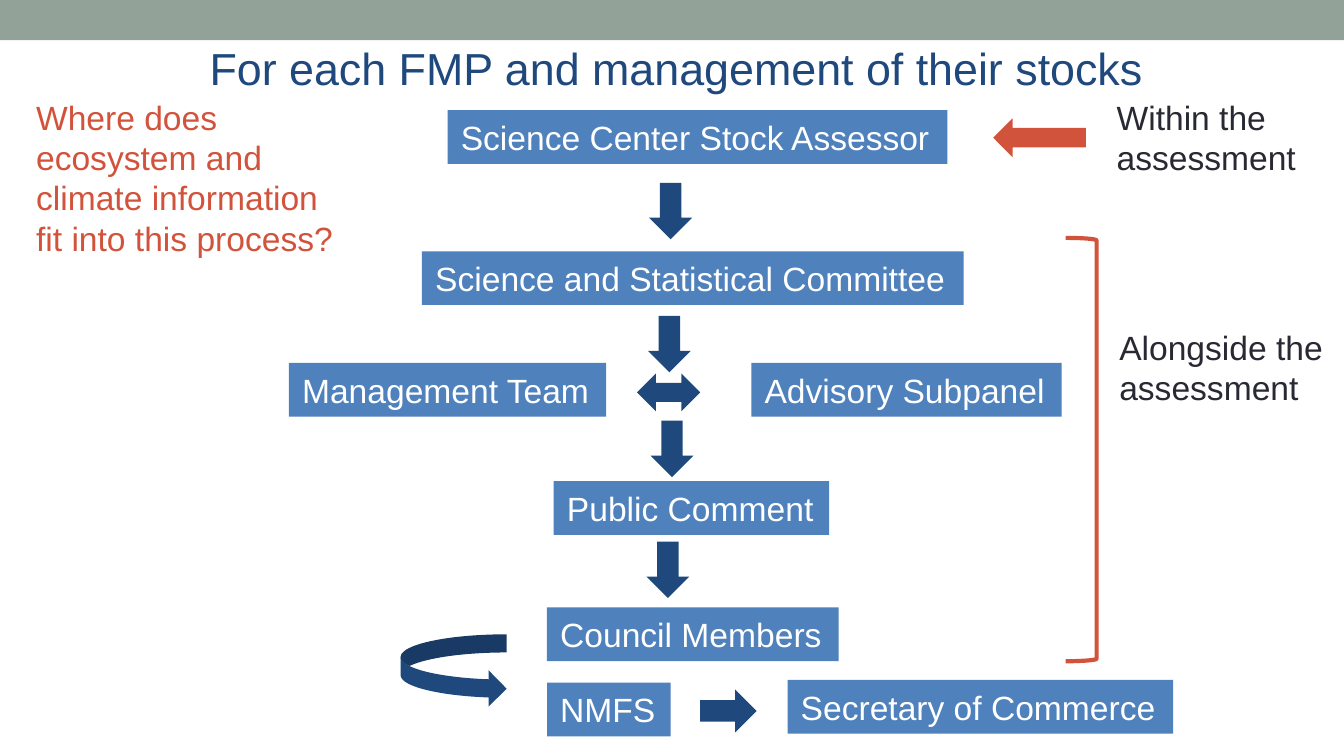
from pptx import Presentation
from pptx.dml.color import RGBColor
from pptx.enum.shapes import MSO_SHAPE
from pptx.enum.text import MSO_ANCHOR, PP_ALIGN
from pptx.util import Inches, Pt

RECTANGLE = MSO_SHAPE.RECTANGLE
DOWN, LEFT, RIGHT = MSO_SHAPE.DOWN_ARROW, MSO_SHAPE.LEFT_ARROW, MSO_SHAPE.RIGHT_ARROW
LEFT_RIGHT, CURVED = MSO_SHAPE.LEFT_RIGHT_ARROW, MSO_SHAPE.CURVED_RIGHT_ARROW
BRACKET = MSO_SHAPE.RIGHT_BRACKET
TOP, MIDDLE = MSO_ANCHOR.TOP, MSO_ANCHOR.MIDDLE
ALIGN_LEFT, ALIGN_CENTER = PP_ALIGN.LEFT, PP_ALIGN.CENTER

SAGE = RGBColor(0x93, 0xA2, 0x99)
BLUE = RGBColor(0x4F, 0x81, 0xBD)
NAVY = RGBColor(0x1F, 0x49, 0x7D)
RED = RGBColor(0xD2, 0x53, 0x3C)
DARK = RGBColor(0x29, 0x29, 0x34)
WHITE = RGBColor(0xFF, 0xFF, 0xFF)

FONT = "Arial"
SLIDE_WIDTH = Inches(10)
SLIDE_HEIGHT = SLIDE_WIDTH * 9 // 16
BOX_HEIGHT = 0.4
TITLE = "For each FMP and management of their stocks"

# text, left, top, width
STEPS = [
    ("Science Center Stock Assessor", 3.33, 0.82, 3.72),
    ("Science and Statistical Committee", 3.14, 1.87, 4.03),
    ("Management Team", 2.15, 2.7, 2.36),
    ("Advisory Subpanel", 5.59, 2.7, 2.31),
    ("Public Comment", 4.12, 3.58, 2.05),
    ("Council Members", 4.07, 4.52, 2.17),
    ("NMFS", 4.07, 5.08, 0.92),
    ("Secretary of Commerce", 5.86, 5.06, 2.87),
]

# left, top of the equal arrows between steps
DOWN_ARROWS = [(4.83, 1.36), (4.82, 2.35), (4.84, 3.13), (4.81, 4.03)]
DOWN_SIZE = (0.32, 0.42)

# kind, position and size, adjustments, colour
OTHER_ARROWS = [
    (LEFT_RIGHT, (4.74, 2.78, 0.47, 0.28), (0.5, 0.5), NAVY),
    (RIGHT, (5.21, 5.13, 0.42, 0.32), (0.5, 0.5), NAVY),
    (CURVED, (2.98, 4.72, 0.79, 0.54), (0.25, 0.58, 0.25), NAVY),
    (LEFT, (7.39, 0.88, 0.69, 0.29), (0.5, 0.5), RED),
]

# paragraphs, position and size, colour
NOTES = [
    (["Where does ecosystem and climate information fit into this process?"],
     (0.17, 0.67, 2.55, 1.31), RED),
    (["Within the", "assessment"], (8.21, 0.67, 1.55, 0.71), DARK),
    (["Alongside the", "assessment"], (8.23, 2.38, 1.73, 0.71), DARK),
]


def add_filled_shape(slide, kind, place, color, adjustments=()):
    shape = slide.shapes.add_shape(kind, *map(Inches, place))
    shape.shadow.inherit = False
    shape.fill.solid()
    shape.fill.fore_color.rgb = color
    shape.line.fill.background()
    for index, value in enumerate(adjustments):
        shape.adjustments[index] = value
    return shape


def write_text(shape, lines, color, size=18, align=ALIGN_LEFT, anchor=TOP):
    frame = shape.text_frame
    frame.word_wrap = True
    frame.vertical_anchor = anchor
    for index, line in enumerate(lines):
        paragraph = frame.add_paragraph() if index else frame.paragraphs[0]
        paragraph.alignment = align
        run = paragraph.add_run()
        run.text = line
        run.font.name = FONT
        run.font.size = Pt(size)
        run.font.color.rgb = color


def main():
    presentation = Presentation()
    presentation.slide_width = SLIDE_WIDTH
    presentation.slide_height = SLIDE_HEIGHT
    slide = presentation.slides.add_slide(presentation.slide_layouts[6])

    add_filled_shape(slide, RECTANGLE, (0, 0, 10, 0.3), SAGE)

    for text, left, top, width in STEPS:
        step = add_filled_shape(slide, RECTANGLE, (left, top, width, BOX_HEIGHT), BLUE)
        write_text(step, [text], WHITE)

    for position in DOWN_ARROWS:
        add_filled_shape(slide, DOWN, position + DOWN_SIZE, NAVY)
    for kind, place, adjustments, color in OTHER_ARROWS:
        add_filled_shape(slide, kind, place, color, adjustments)

    bracket = slide.shapes.add_shape(BRACKET, *map(Inches, (7.93, 1.77, 0.23, 3.15)))
    bracket.shadow.inherit = False
    bracket.adjustments[0] = 0.08
    bracket.fill.background()
    bracket.line.color.rgb = RED
    bracket.line.width = Pt(2.25)

    for lines, place, color in NOTES:
        write_text(slide.shapes.add_textbox(*map(Inches, place)), lines, color)

    title = slide.shapes.add_textbox(*map(Inches, (0.72, 0.21, 8.62, 0.59)))
    write_text(title, [TITLE], NAVY, 24, ALIGN_CENTER, MIDDLE)

    presentation.save("out.pptx")


if __name__ == "__main__":
    main()
